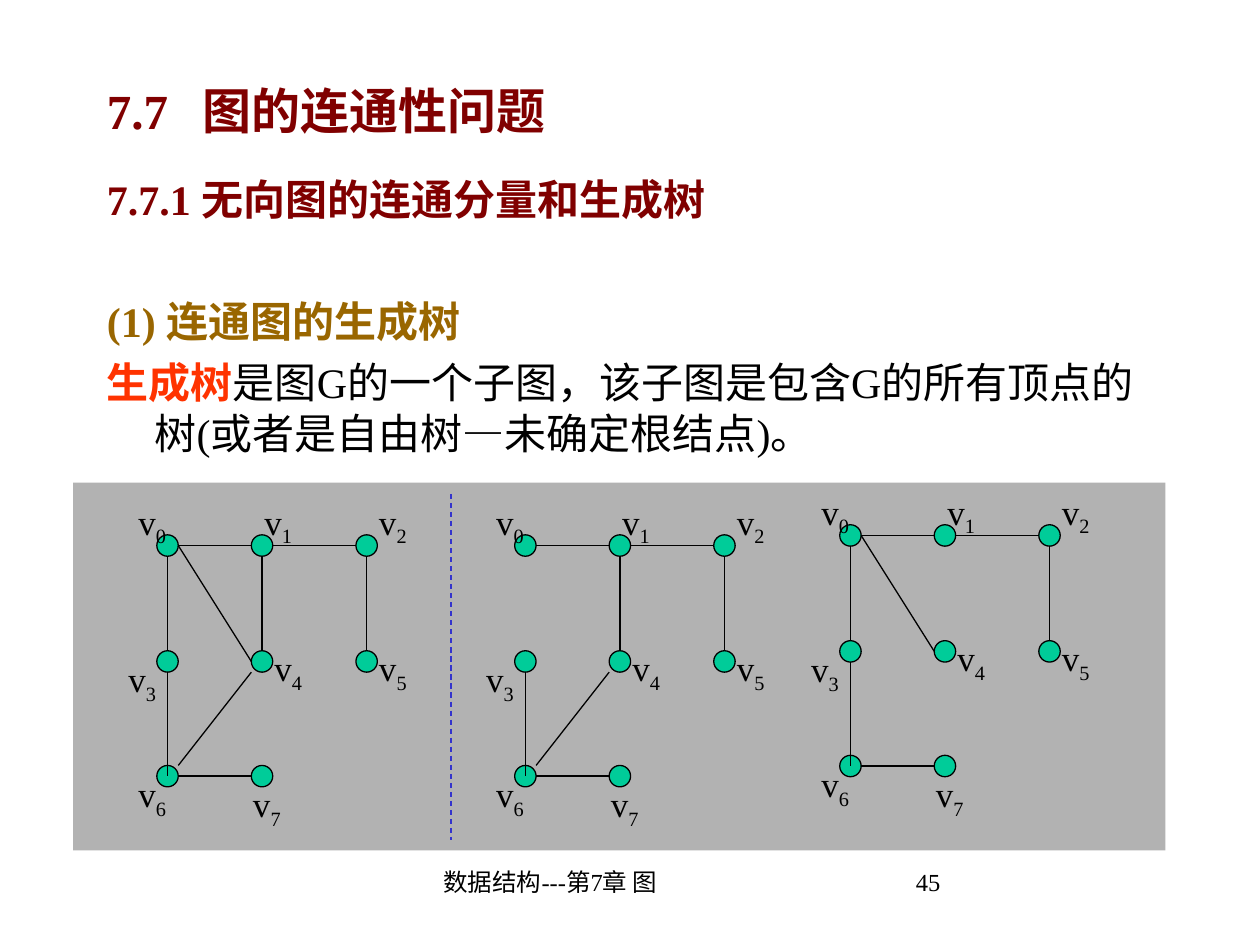
"""Build the slide on spanning trees of a connected graph."""
import lxml.etree
import pptx
import pptx.dml.color
import pptx.enum.dml
import pptx.enum.shapes
import pptx.enum.text
import pptx.oxml.ns
import pptx.util
from pptx.util import Inches

BLACK = pptx.dml.color.RGBColor(0x00, 0x00, 0x00)
MAROON = pptx.dml.color.RGBColor(0x80, 0x00, 0x00)
BROWN = pptx.dml.color.RGBColor(0x99, 0x66, 0x00)
ORANGE = pptx.dml.color.RGBColor(0xFF, 0x33, 0x00)
GRAY = pptx.dml.color.RGBColor(0xB2, 0xB2, 0xB2)
GREEN = pptx.dml.color.RGBColor(0x00, 0xCC, 0x99)
BLUE = pptx.dml.color.RGBColor(0x33, 0x33, 0xCC)

FONT = "Times New Roman"
LINE_WIDTH = 0.75
DIAMETER = 0.17
RADIUS = DIAMETER / 2
COLUMNS = (0, 0.75, 1.58)
ROWS = (0, 0.92, 1.83)

NODE_CELLS = ((0, 0), (1, 0), (2, 0), (0, 1), (1, 1), (2, 1), (0, 2), (1, 2))
LABEL_OFFSETS = (
    (-0.33, -0.41), (-0.08, -0.41), (0, -0.41), (-0.41, -0.08),
    (0, -0.17), (0, -0.17), (-0.33, -0.08), (-0.17, 0),
)

RIGHTWARD = ((1, 0), (-1, 0))
DOWNWARD = ((0, 1), (0, -1))
EDGE_ENDS = {
    (0, 1): RIGHTWARD,
    (1, 2): RIGHTWARD,
    (0, 3): DOWNWARD,
    (1, 4): DOWNWARD,
    (2, 5): DOWNWARD,
    (3, 6): ((0, 1), (0, 0)),
    (6, 7): RIGHTWARD,
    (6, 4): ((1, -1), (-1, 1)),
    (0, 4): RIGHTWARD,
}
GRAPHS = (
    ((1.33, 4.33), tuple(EDGE_ENDS)),
    ((4.17, 4.33), ((0, 1), (1, 2), (1, 4), (2, 5), (3, 6), (6, 7), (6, 4))),
    ((6.75, 4.25), ((0, 1), (1, 2), (0, 3), (2, 5), (3, 6), (6, 7), (0, 4))),
)


def add_text_box(shapes, left, top, width, height):
    """Add a wrapping text box and return its text frame."""
    box = shapes.add_textbox(Inches(left), Inches(top), Inches(width), Inches(height))
    box.text_frame.word_wrap = True
    return box.text_frame


def add_run(paragraph, text, size, color=BLACK, bold=False):
    """Add a run of text in the slide's font."""
    run = paragraph.add_run()
    run.text = text
    run.font.name = FONT
    run.font.size = pptx.util.Pt(size)
    run.font.color.rgb = color
    run.font.bold = bold
    return run


def set_tab_stop(paragraph, position):
    """Give the paragraph one left tab stop."""
    tab_list = lxml.etree.SubElement(
        paragraph._p.get_or_add_pPr(), pptx.oxml.ns.qn("a:tabLst"))
    lxml.etree.SubElement(tab_list, pptx.oxml.ns.qn("a:tab"),
                          pos=str(Inches(position)), algn="l")


def add_line(shapes, start, end, color=BLACK, dash=None):
    """Add a thin straight line without a shadow."""
    line = shapes.add_connector(
        pptx.enum.shapes.MSO_CONNECTOR.STRAIGHT,
        *(Inches(value) for value in (*start, *end)))
    line.line.color.rgb = color
    line.line.width = pptx.util.Pt(LINE_WIDTH)
    if dash:
        line.line.dash_style = dash
    lxml.etree.SubElement(line._element.spPr, pptx.oxml.ns.qn("a:effectLst"))


def add_filled_shape(shapes, kind, left, top, width, height, fill):
    """Add a flat preset shape without an outline."""
    shape = shapes.add_shape(
        kind, Inches(left), Inches(top), Inches(width), Inches(height))
    shape.shadow.inherit = False
    shape.fill.solid()
    shape.fill.fore_color.rgb = fill
    shape.line.fill.background()
    return shape


def add_node(shapes, x, y):
    """Add an outlined vertex centred at a point."""
    node = add_filled_shape(shapes, pptx.enum.shapes.MSO_SHAPE.OVAL,
                            x - RADIUS, y - RADIUS, DIAMETER, DIAMETER, GREEN)
    node.line.color.rgb = BLACK
    node.line.width = pptx.util.Pt(LINE_WIDTH)


def add_label(shapes, left, top, index):
    """Add a vertex name with its index as a subscript."""
    paragraph = add_text_box(shapes, left, top, 0.5, 0.48).paragraphs[0]
    add_run(paragraph, "v", 20)
    subscript = add_run(paragraph, str(index), 20)
    subscript._r.get_or_add_rPr().set("baseline", "-25000")


def add_graph(shapes, origin, edges):
    """Add the vertices, labels and chosen edges of one graph."""
    centers = [(origin[0] + COLUMNS[column], origin[1] + ROWS[row])
               for column, row in NODE_CELLS]
    for index, (x, y) in enumerate(centers):
        add_node(shapes, x, y)
        shift_x, shift_y = LABEL_OFFSETS[index]
        add_label(shapes, x + shift_x, y + shift_y, index)
    for edge in edges:
        start, end = (
            (centers[node][0] + side[0] * RADIUS, centers[node][1] + side[1] * RADIUS)
            for node, side in zip(edge, EDGE_ENDS[edge]))
        add_line(shapes, start, end)


def add_title(shapes):
    """Add the section title."""
    frame = add_text_box(shapes, 0.75, 0.5, 8.5, 0.75)
    frame.vertical_anchor = pptx.enum.text.MSO_ANCHOR.MIDDLE
    set_tab_stop(frame.paragraphs[0], 0.76)
    add_run(frame.paragraphs[0], "7.7\t图的连通性问题", 28, MAROON, True)


def add_body(shapes):
    """Add the subsection headings and the definition."""
    content = (
        (0, (("7.7.1 无向图的连通分量和生成树", MAROON, True),)),
        (41, (("(1) 连通图的生成树", BROWN, True),)),
        (6, (("生成树", ORANGE, True),
             ("是图G的一个子图，该子图是包含G的所有顶点的树"
              "(或者是自由树—未确定根结点)。", BLACK, False))),
    )
    frame = add_text_box(shapes, 0.75, 1.33, 8.5, 2.42)
    for number, (space_before, runs) in enumerate(content):
        paragraph = frame.add_paragraph() if number else frame.paragraphs[0]
        properties = paragraph._p.get_or_add_pPr()
        properties.set("marL", str(Inches(0.38)))
        properties.set("indent", str(Inches(-0.38)))
        paragraph.space_before = pptx.util.Pt(space_before)
        for text, color, bold in runs:
            add_run(paragraph, text, 24, color, bold)


def add_footer(shapes, left, width, text):
    """Add one footer text."""
    frame = add_text_box(shapes, left, 6.83, width, 0.5)
    add_run(frame.paragraphs[0], text, 14)


def main():
    """Build and save the presentation."""
    presentation = pptx.Presentation()
    presentation.slide_width = Inches(10)
    presentation.slide_height = Inches(7.5)
    slide = presentation.slides.add_slide(presentation.slide_layouts[6])
    add_footer(slide.shapes, 3.42, 3.17, "数据结构---第7章 图")
    add_footer(slide.shapes, 7.17, 2.08, "45")
    add_title(slide.shapes)
    add_body(slide.shapes)
    panel = slide.shapes.add_group_shape().shapes
    add_filled_shape(panel, pptx.enum.shapes.MSO_SHAPE.RECTANGLE,
                     0.58, 3.83, 8.67, 2.92, GRAY)
    for origin, edges in GRAPHS:
        add_graph(panel, origin, edges)
    add_line(panel, (3.58, 3.92), (3.58, 6.67), BLUE,
             pptx.enum.dml.MSO_LINE.DASH)
    presentation.save("out.pptx")


if __name__ == "__main__":
    main()
